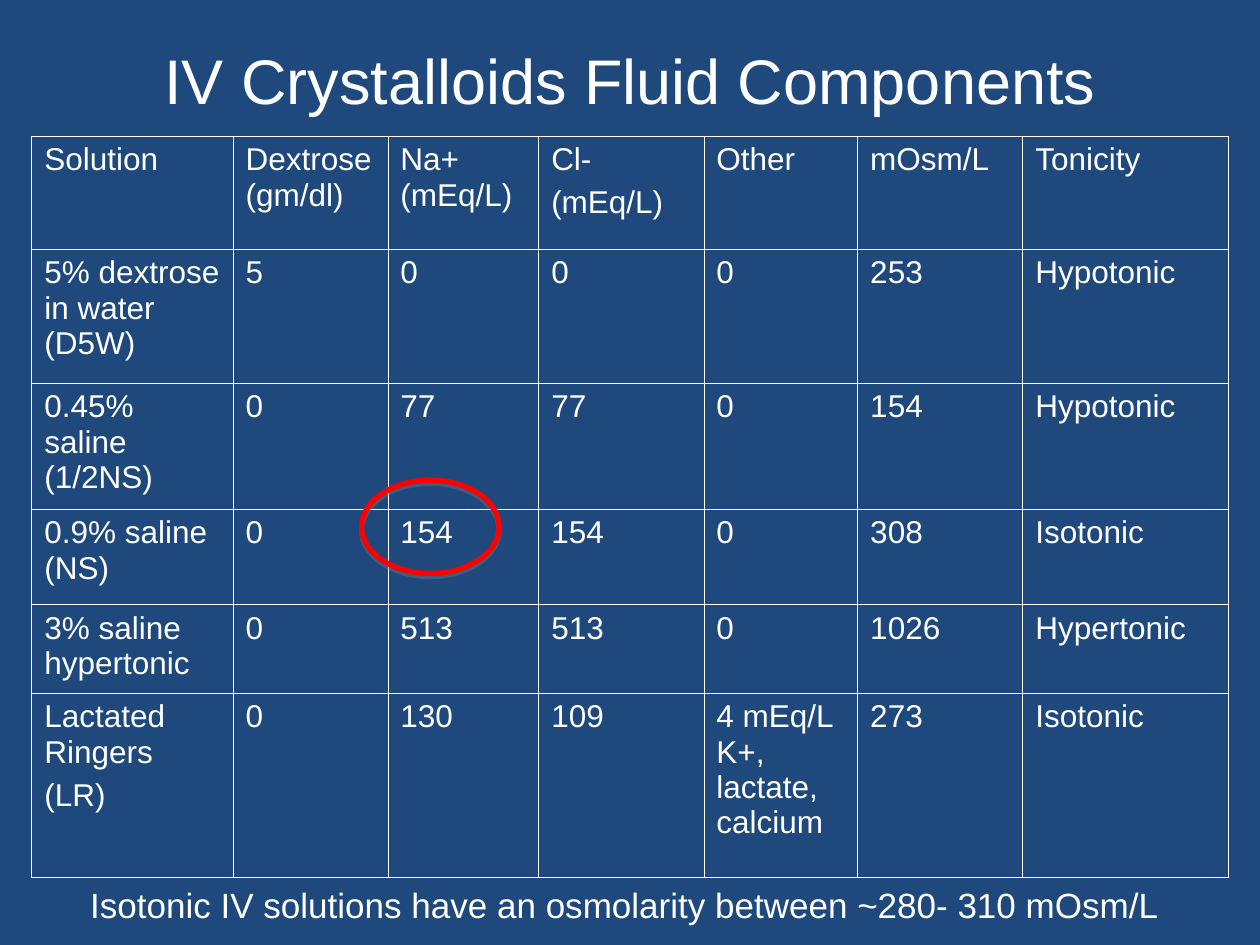
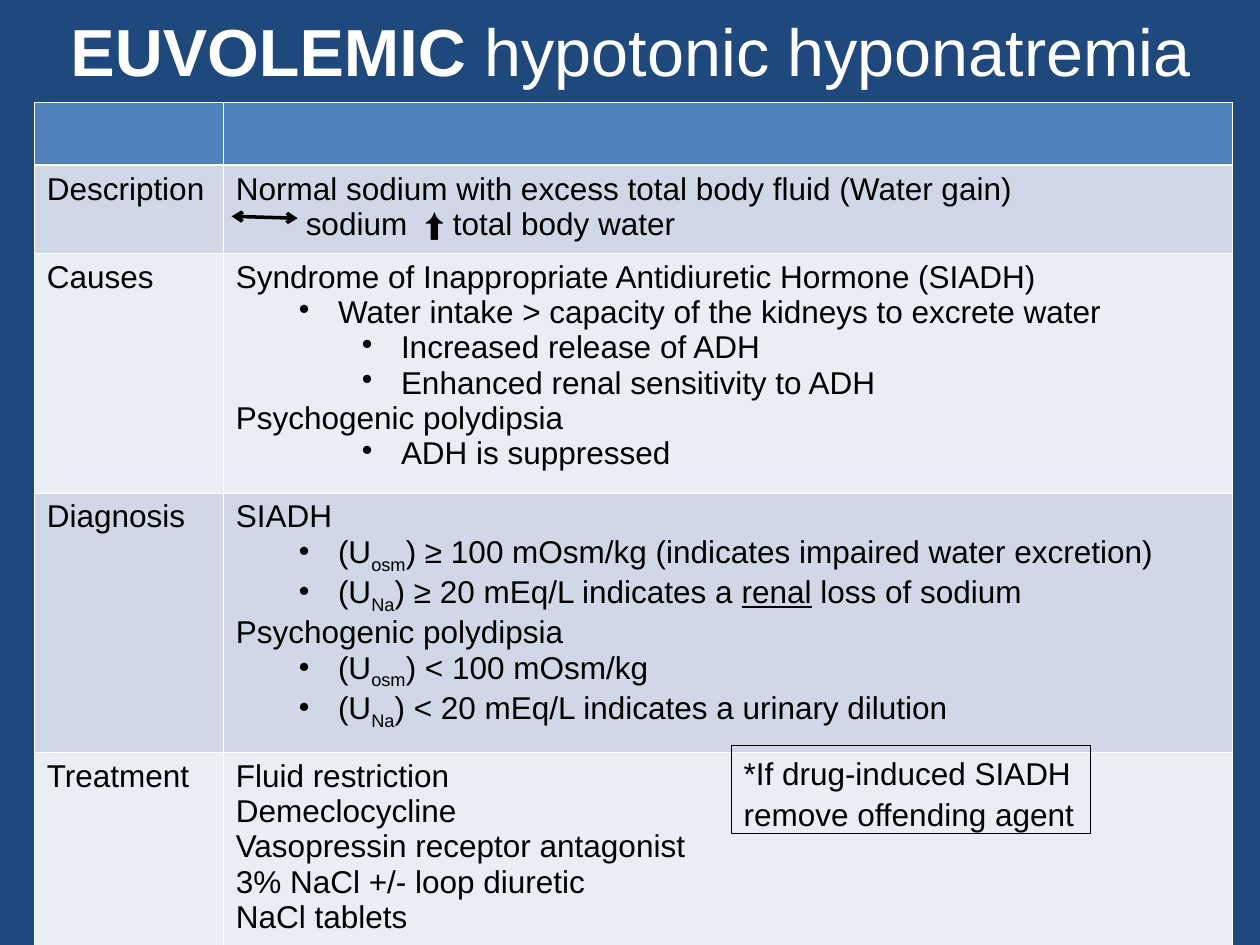
from dataclasses import dataclass
from itertools import product
from typing import NamedTuple, Optional, Sequence

from lxml.etree import SubElement
from pptx import Presentation
from pptx.dml.color import RGBColor
from pptx.enum.shapes import MSO_CONNECTOR as Connector, MSO_SHAPE as Shape
from pptx.enum.text import MSO_ANCHOR as Anchor, MSO_AUTO_SIZE as AutoSize, PP_ALIGN as Align
from pptx.oxml.ns import qn
from pptx.util import Cm, Pt

NAVY = RGBColor(0x1F, 0x49, 0x7D)
WHITE = RGBColor(0xFF, 0xFF, 0xFF)
BLACK = RGBColor(0x00, 0x00, 0x00)
RED = RGBColor(0xFF, 0x00, 0x00)
HEADER_BLUE = RGBColor(0x4F, 0x81, 0xBD)
BAND_DARK = RGBColor(0xD0, 0xD8, 0xE8)
BAND_LIGHT = RGBColor(0xE9, 0xED, 0xF4)
FONT = "Arial"
THIN, THICK = 0.45, 1.47
TITLE_ONLY = 5


class Box(NamedTuple):
    left: float
    top: float
    width: float
    height: float

    def emu(self) -> list:
        return [Cm(v) for v in self]


class Run(NamedTuple):
    text: str
    bold: bool = False
    underline: bool = False
    subscript: bool = False


@dataclass
class Para:
    runs: Sequence[Run]
    level: int = 0
    first_indent: float = 0
    tab: Optional[float] = None


@dataclass
class Grid:
    left: float
    top: float
    cols: Sequence[float]
    rows: Sequence[float]
    cells: Sequence[Sequence]
    color: RGBColor
    fills: Sequence
    header_rule: float = THIN
    space: float = 0


def line(text: str, level: int = 0) -> Para:
    return Para([Run(text)], level)


def urine(marker: str, *rest: Run) -> Para:
    return Para([Run("(U"), Run(marker, subscript=True), *rest], 1)


def set_layout(p, para: Para) -> None:
    pPr = p._p.get_or_add_pPr()
    if para.level:
        p.level = para.level
        pPr.set("marL", str(Cm(2.06 + 1.27 * (para.level - 1))))
        pPr.set("indent", str(Cm(-0.79)))
        SubElement(pPr, qn("a:buChar")).set("char", "•")
    elif para.first_indent:
        pPr.set("marL", "0")
        pPr.set("indent", str(Cm(para.first_indent)))
    if para.tab:
        tab = SubElement(SubElement(pPr, qn("a:tabLst")), qn("a:tab"))
        tab.set("pos", str(Cm(para.tab)))
        tab.set("algn", "l")


def write(tf, content, *, size: float = 18, color: RGBColor = BLACK,
          align: Align = Align.LEFT, space: float = 0, spacing: float = 1) -> None:
    paras = [line(t) for t in content.split("\n")] if isinstance(content, str) else content
    for i, para in enumerate(paras):
        p = tf.add_paragraph() if i else tf.paragraphs[0]
        set_layout(p, para)
        p.alignment = align
        p.line_spacing = spacing
        p.space_before = Pt(space if i else 0)
        for run in para.runs:
            r = p.add_run()
            r.text = run.text
            r.font.name, r.font.size = FONT, Pt(size)
            r.font.color.rgb = color
            r.font.bold = run.bold
            r.font.underline = run.underline
            if run.subscript:
                r._r.get_or_add_rPr().set("baseline", "-25000")


def add_slide(prs, box: Box, runs: Sequence[Run], size: float):
    slide = prs.slides.add_slide(prs.slide_layouts[TITLE_ONLY])
    title = slide.shapes.title
    title.left, title.top, title.width, title.height = box.emu()
    tf = title.text_frame
    tf.auto_size, tf.word_wrap = AutoSize.NONE, True
    tf.vertical_anchor = Anchor.MIDDLE
    write(tf, [Para(runs)], size=size, color=WHITE, align=Align.CENTER)
    return slide


def set_borders(cell, top: float, bottom: float) -> None:
    tcPr = cell._tc.get_or_add_tcPr()
    for side, width in zip("LRTB", (THIN, THIN, top, bottom)):
        ln = SubElement(tcPr, qn(f"a:ln{side}"))
        ln.set("w", str(Pt(width)))
        SubElement(SubElement(ln, qn("a:solidFill")), qn("a:srgbClr")).set("val", str(WHITE))


def add_grid(slide, grid: Grid) -> None:
    n_rows, n_cols = len(grid.rows), len(grid.cols)
    box = Box(grid.left, grid.top, sum(grid.cols), sum(grid.rows))
    table = slide.shapes.add_table(n_rows, n_cols, *box.emu()).table
    table.first_row = table.horz_banding = False
    for column, width in zip(table.columns, grid.cols):
        column.width = Cm(width)
    for row, height in zip(table.rows, grid.rows):
        row.height = Cm(height)
    for i, j in product(range(n_rows), range(n_cols)):
        cell = table.cell(i, j)
        set_borders(cell, grid.header_rule if i == 1 else THIN,
                    grid.header_rule if i == 0 else THIN)
        if grid.fills[i] is None:
            cell.fill.background()
        else:
            cell.fill.solid()
            cell.fill.fore_color.rgb = grid.fills[i]
        if grid.cells[i][j]:
            write(cell.text_frame, grid.cells[i][j], color=grid.color, space=grid.space)


def add_outline(slide, kind: Shape, box: Box, color: RGBColor, width: float):
    sp = slide.shapes.add_shape(kind, *box.emu())
    sp.shadow.inherit = False
    sp.fill.background()
    sp.line.color.rgb, sp.line.width = color, Pt(width)
    return sp


def add_drop_shadow(sp) -> None:
    effects = sp._element.spPr.find(qn("a:effectLst"))
    shadow = SubElement(effects, qn("a:outerShdw"), blurRad="0",
                        dist=str(Pt(1.8)), dir="5400000", rotWithShape="0")
    tint = SubElement(shadow, qn("a:srgbClr"), val="808080")
    SubElement(tint, qn("a:alpha"), val="35000")


def add_double_arrow(slide, x1: float, y1: float, x2: float, y2: float) -> None:
    cxn = slide.shapes.add_connector(Connector.STRAIGHT, Cm(x1), Cm(y1), Cm(x2), Cm(y2))
    cxn.line.color.rgb, cxn.line.width = BLACK, Pt(2)
    spPr = cxn._element.spPr
    for end in ("headEnd", "tailEnd"):
        SubElement(spPr.find(qn("a:ln")), qn(f"a:{end}")).set("type", "arrow")
    SubElement(spPr, qn("a:effectLst"))


def build_fluids(prs) -> None:
    slide = add_slide(prs, Box(1.9, 0.64, 21.6, 1.9),
                      [Run("IV Crystalloids Fluid Components")], 36)
    cells = [
        ["Solution", "Dextrose (gm/dl)", "Na+ (mEq/L)", "Cl-\n(mEq/L)", "Other",
         "mOsm/L", "Tonicity"],
        ["5% dextrose in water (D5W)", "5", "0", "0", "0", "253", "Hypotonic"],
        ["0.45% saline (1/2NS)", "0", "77", "77", "0", "154", "Hypotonic"],
        ["0.9% saline (NS)", "0", "154", "154", "0", "308", "Isotonic"],
        ["3% saline hypertonic", "0", "513", "513", "0", "1026", "Hypertonic"],
        ["Lactated Ringers\n(LR)", "0", "130", "109", "4 mEq/L K+, lactate, calcium",
         "273", "Isotonic"],
    ]
    add_grid(slide, Grid(0.64, 2.74, [4.06, 3.12, 3.04, 3.33, 3.1, 3.33, 4.15],
                         [2.28, 2.7, 2.54, 1.93, 1.78, 3.71], cells, WHITE,
                         [None] * len(cells), space=4.5))
    add_drop_shadow(add_outline(slide, Shape.OVAL, Box(7.29, 9.68, 2.77, 1.88), RED, 3))
    note = slide.shapes.add_textbox(*Box(1.57, 17.68, 22.33, 1.12).emu())
    note.text_frame.word_wrap = True
    write(note.text_frame, "Isotonic IV solutions have an osmolarity between ~280- 310 mOsm/L",
          size=20, color=WHITE)


def build_euvolemic(prs) -> None:
    slide = add_slide(prs, Box(0.64, 0, 24.16, 2),
                      [Run("EUVOLEMIC", bold=True), Run(" hypotonic hyponatremia")], 38)
    description = [
        line("Normal sodium with excess total body fluid (Water gain)"),
        Para([Run("sodium\t⬆ total body water")], first_indent=1.41, tab=3.95),
    ]
    causes = [
        line("Syndrome of Inappropriate Antidiuretic Hormone (SIADH)"),
        line("Water intake > capacity of the kidneys to excrete water", 1),
        line("Increased release of ADH", 2),
        line("Enhanced renal sensitivity to ADH", 2),
        line("Psychogenic polydipsia"),
        line("ADH is suppressed", 2),
    ]
    diagnosis = [
        line("SIADH"),
        urine("osm", Run(") ≥ 100 mOsm/kg (indicates impaired water excretion)")),
        urine("Na", Run(") ≥ 20 mEq/L indicates a "), Run("renal", underline=True),
              Run(" loss of sodium")),
        line("Psychogenic polydipsia"),
        urine("osm", Run(") < 100 mOsm/kg")),
        urine("Na", Run(") < 20 mEq/L indicates a urinary dilution")),
    ]
    treatment = ("Fluid restriction\nDemeclocycline\nVasopressin receptor antagonist\n"
                 "3% NaCl +/- loop diuretic\nNaCl tablets")
    cells = [["", ""], ["Description", description], ["Causes", causes],
             ["Diagnosis", diagnosis], ["Treatment", treatment]]
    add_grid(slide, Grid(0.69, 2.06, [3.81, 20.35], [1.27, 1.78, 4.83, 5.23, 4.06], cells,
                         BLACK, [HEADER_BLUE] + [BAND_DARK, BAND_LIGHT] * 2,
                         header_rule=THICK))
    add_double_arrow(slide, 4.67, 4.36, 6, 4.4)
    sp = add_outline(slide, Shape.RECTANGLE, Box(14.74, 15.03, 7.24, 1.78), BLACK, 0.75)
    tf = sp.text_frame
    tf.word_wrap, tf.vertical_anchor = True, Anchor.TOP
    write(tf, "*If drug-induced SIADH remove offending agent", spacing=1.07)


def main() -> None:
    prs = Presentation()
    prs.slide_width, prs.slide_height = Cm(25.4), Cm(19.05)
    fill = prs.slide_master.background.fill
    fill.solid()
    fill.fore_color.rgb = NAVY
    build_fluids(prs)
    build_euvolemic(prs)
    prs.save("out.pptx")


if __name__ == "__main__":
    main()
